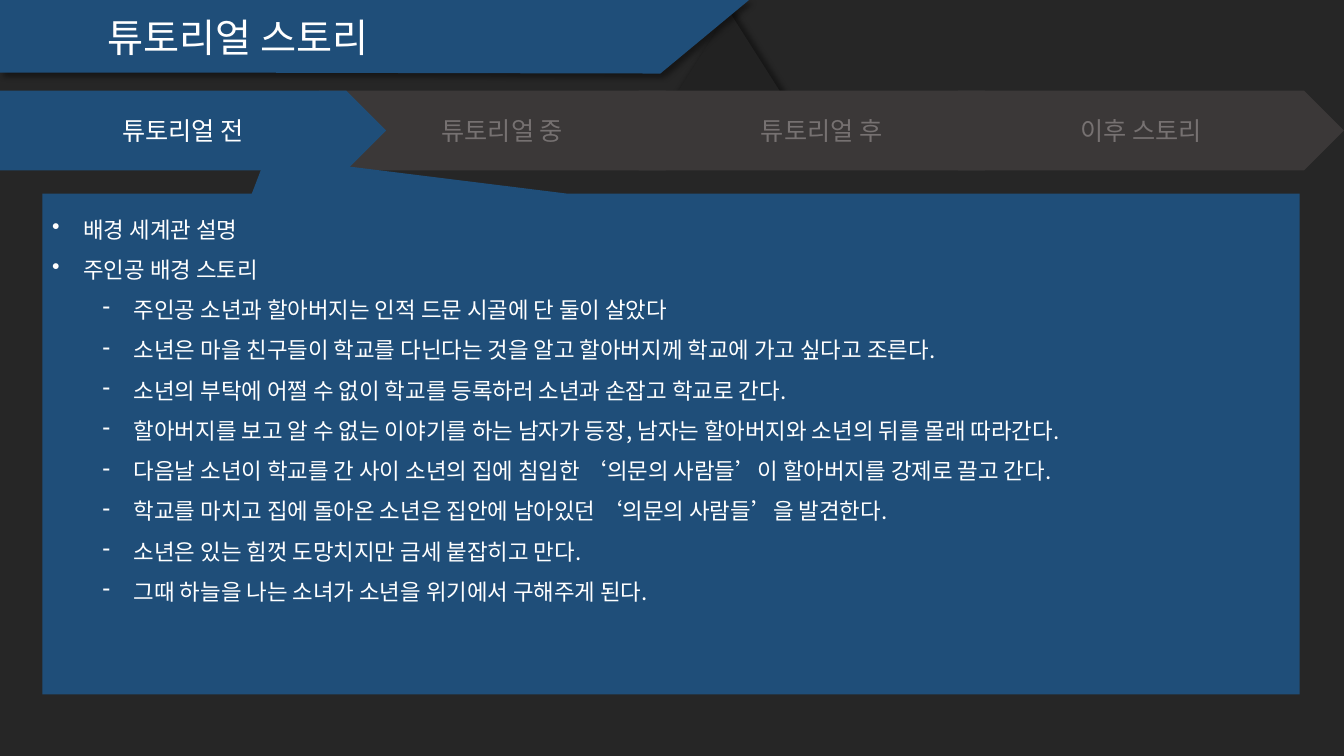
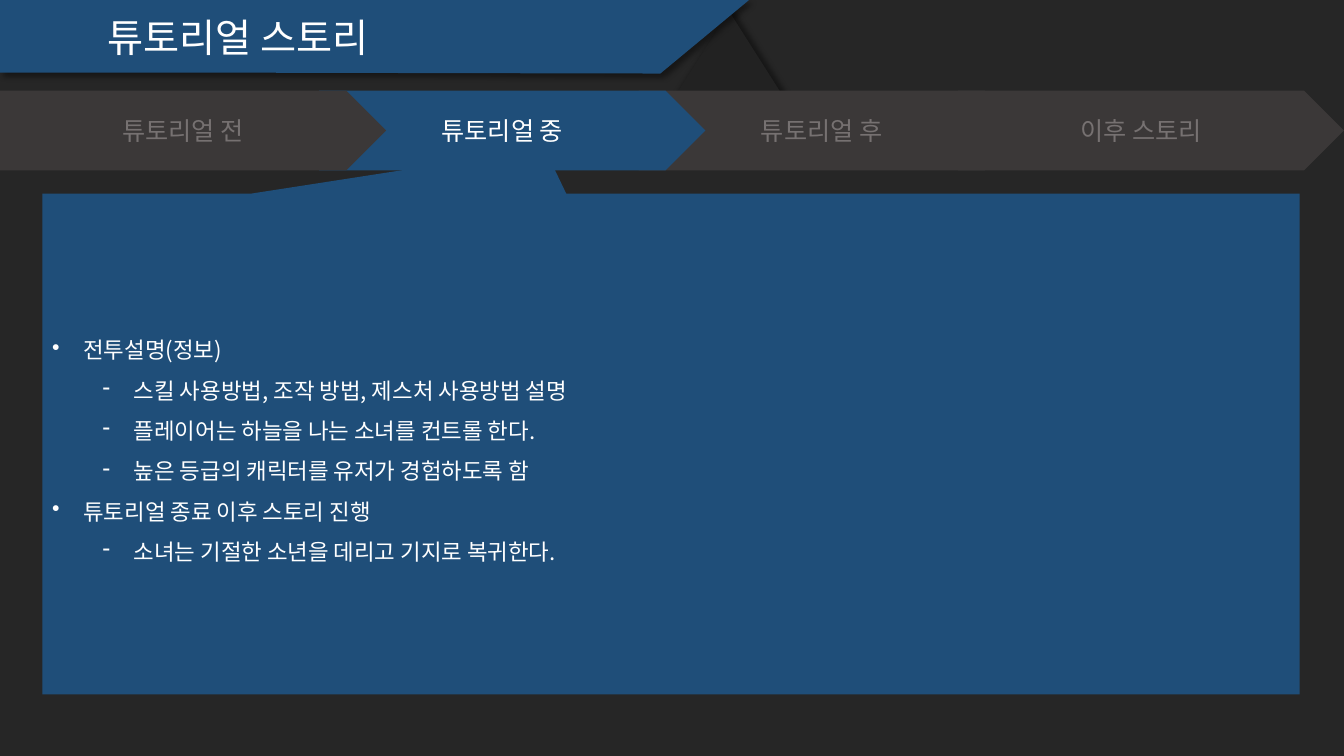
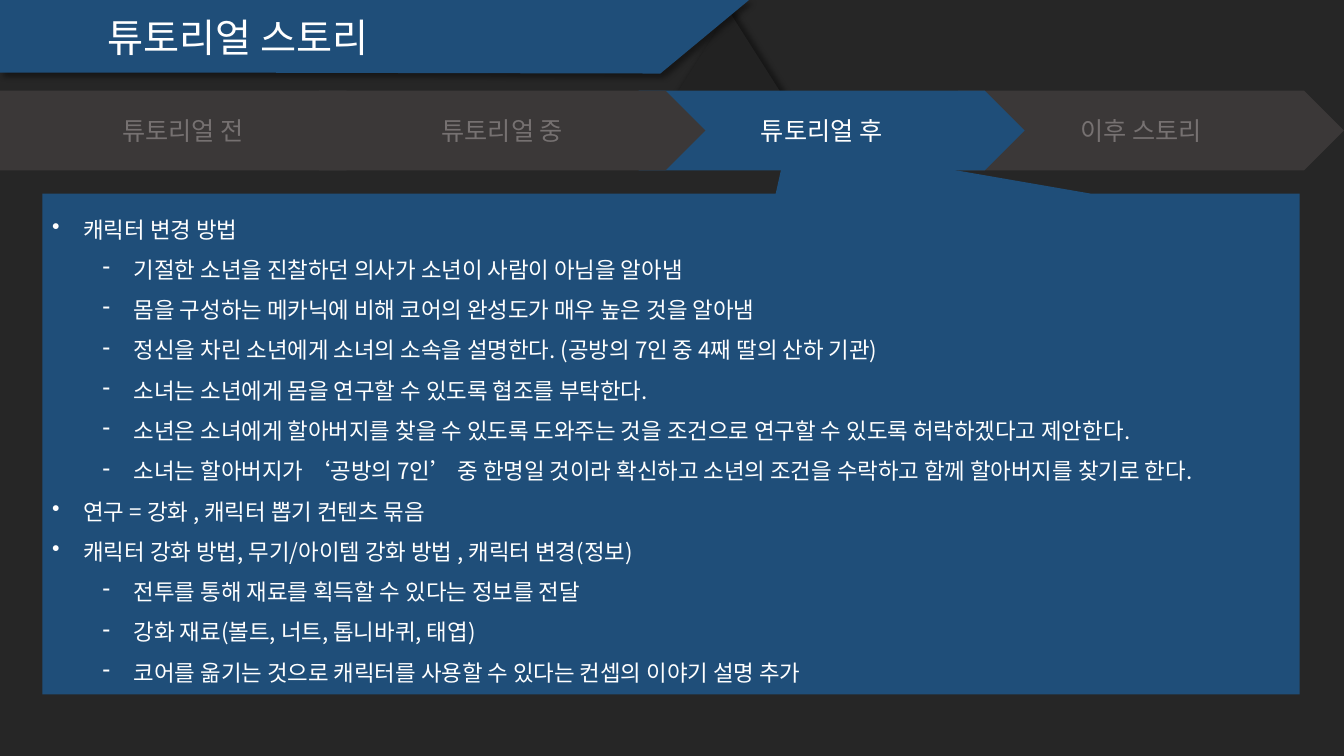
from lxml.etree import SubElement
from pptx import Presentation
from pptx.dml.color import RGBColor
from pptx.enum.shapes import MSO_SHAPE as Shape
from pptx.enum.text import MSO_ANCHOR as Anchor, MSO_AUTO_SIZE as AutoSize, PP_ALIGN as Align
from pptx.oxml.ns import qn
from pptx.util import Inches, Pt

COLORS = {
    "background": "262626",
    "facet": "222222",
    "accent": "1F4E79",
    "tab": "3B3838",
    "muted": "767171",
    "text": "FFFFFF",
    "shadow": "000000",
}
FONT = "Noto Sans CJK KR"
TITLE = "튜토리얼 스토리"
STAGES = ["튜토리얼 전", "튜토리얼 중", "튜토리얼 후", "이후 스토리"]

SLIDE_W, SLIDE_H = 13.33, 7.5
TAB_W, TAB_H, TAB_TOP = 3.83, 0.79, 0.9
TAB_STEP = (SLIDE_W - TAB_W) / (len(STAGES) - 1)
PANEL_X, PANEL_Y, PANEL_W, PANEL_H = 0.42, 1.92, 12.47, 4.97

LEVELS = [
    {"bullet": "•", "indent": 0.31},
    {"bullet": "-", "indent": 0.81},
]
HANGING = 0.31

STORIES = [
    {
        "tip": (2.64, 1.55),
        "margin_bottom": 0.85,
        "lines": [
            (0, "배경 세계관 설명"),
            (0, "주인공 배경 스토리"),
            (1, "주인공 소년과 할아버지는 인적 드문 시골에 단 둘이 살았다"),
            (1, "소년은 마을 친구들이 학교를 다닌다는 것을 알고 할아버지께 학교에 가고 싶다고 조른다."),
            (1, "소년의 부탁에 어쩔 수 없이 학교를 등록하러 소년과 손잡고 학교로 간다."),
            (1, "할아버지를 보고 알 수 없는 이야기를 하는 남자가 등장, 남자는 할아버지와 소년의 뒤를 몰래 따라간다."),
            (1, "다음날 소년이 학교를 간 사이 소년의 집에 침입한 ‘의문의 사람들’이 할아버지를 강제로 끌고 간다."),
            (1, "학교를 마치고 집에 돌아온 소년은 집안에 남아있던 ‘의문의 사람들’을 발견한다."),
            (1, "소년은 있는 힘껏 도망치지만 금세 붙잡히고 만다."),
            (1, "그때 하늘을 나는 소녀가 소년을 위기에서 구해주게 된다."),
        ],
    },
    {
        "tip": (5.4, 1.47),
        "margin_bottom": 0.05,
        "lines": [
            (0, "전투설명(정보)"),
            (1, "스킬 사용방법, 조작 방법, 제스처 사용방법 설명"),
            (1, "플레이어는 하늘을 나는 소녀를 컨트롤 한다."),
            (1, "높은 등급의 캐릭터를 유저가 경험하도록 함"),
            (0, "튜토리얼 종료 이후 스토리 진행"),
            (1, "소녀는 기절한 소년을 데리고 기지로 복귀한다."),
        ],
    },
    {
        "tip": (7.81, 1.4),
        "margin_bottom": 0.05,
        "lines": [
            (0, "캐릭터 변경 방법"),
            (1, "기절한 소년을 진찰하던 의사가 소년이 사람이 아님을 알아냄"),
            (1, "몸을 구성하는 메카닉에 비해 코어의 완성도가 매우 높은 것을 알아냄"),
            (1, "정신을 차린 소년에게 소녀의 소속을 설명한다. (공방의 7인 중 4째 딸의 산하 기관)"),
            (1, "소녀는 소년에게 몸을 연구할 수 있도록 협조를 부탁한다."),
            (1, "소년은 소녀에게 할아버지를 찾을 수 있도록 도와주는 것을 조건으로 연구할 수 있도록 허락하겠다고 제안한다."),
            (1, "소녀는 할아버지가 ‘공방의 7인’ 중 한명일 것이라 확신하고 소년의 조건을 수락하고 함께 할아버지를 찾기로 한다."),
            (0, "연구 = 강화 , 캐릭터 뽑기 컨텐츠 묶음"),
            (0, "캐릭터 강화 방법, 무기/아이템 강화 방법 , 캐릭터 변경(정보)"),
            (1, "전투를 통해 재료를 획득할 수 있다는 정보를 전달"),
            (1, "강화 재료(볼트, 너트, 톱니바퀴, 태엽)"),
            (1, "코어를 옮기는 것으로 캐릭터를 사용할 수 있다는 컨셉의 이야기 설명 추가"),
        ],
    },
]


def paint(shape, color, shadow_angle=None):
    shape.fill.solid()
    shape.fill.fore_color.rgb = RGBColor.from_string(COLORS[color])
    shape.line.fill.background()
    shape.shadow.inherit = False
    if shadow_angle is not None:
        effects = shape._element.spPr.find(qn("a:effectLst"))
        outer = SubElement(effects, qn("a:outerShdw"), blurRad=str(Pt(4)), dist=str(Pt(3)),
                           dir=str(shadow_angle * 60000), algn="ctr", rotWithShape="0")
        tint = SubElement(outer, qn("a:srgbClr"), val=COLORS["shadow"])
        SubElement(tint, qn("a:alpha"), val="40000")


def write(paragraph, text, size, color, **paragraph_format):
    for key, value in paragraph_format.items():
        setattr(paragraph, key, value)
    run = paragraph.add_run()
    run.text = text
    for key, value in {"name": FONT, "size": Pt(size)}.items():
        setattr(run.font, key, value)
    run.font.color.rgb = RGBColor.from_string(COLORS[color])
    SubElement(run._r.get_or_add_rPr(), qn("a:ea"), typeface=FONT)


prs = Presentation()
prs.slide_width, prs.slide_height = Inches(SLIDE_W), Inches(SLIDE_H)
backdrop = prs.slide_master.background.fill
backdrop.solid()
backdrop.fore_color.rgb = RGBColor.from_string(COLORS["background"])

for current, story in enumerate(STORIES):
    slide = prs.slides.add_slide(prs.slide_layouts[6])

    facet = slide.shapes.add_shape(Shape.ISOSCELES_TRIANGLE, Inches(6.57), Inches(0.11),
                                   Inches(1.32), Inches(1.04))
    paint(facet, "facet", 315)

    outline = slide.shapes.build_freeform(0, 0)
    corners = [(7.43, 0), (6.55, 0.73), (1.55, 0.72), (0, 0.72)]
    outline.add_line_segments([(Inches(x), Inches(y)) for x, y in corners], close=True)
    paint(outline.convert_to_shape(), "accent", 45)

    title = slide.shapes.add_textbox(Inches(0.97), Inches(0.08), Inches(3.09), Inches(0.57)).text_frame
    title.word_wrap = False
    title.auto_size = AutoSize.SHAPE_TO_FIT_TEXT
    write(title.paragraphs[0], TITLE, 28, "text")

    tabs = slide.shapes.add_group_shape()
    for stage, label in reversed(list(enumerate(STAGES))):
        active = stage == current
        tab = tabs.shapes.add_shape(Shape.PENTAGON, Inches(stage * TAB_STEP), Inches(TAB_TOP),
                                    Inches(TAB_W), Inches(TAB_H))
        paint(tab, "accent" if active else "tab")
        tab.text_frame.vertical_anchor = Anchor.MIDDLE
        write(tab.text_frame.paragraphs[0], label, 18, "text" if active else "muted",
              alignment=Align.CENTER)

    panel = slide.shapes.add_shape(Shape.RECTANGULAR_CALLOUT, Inches(PANEL_X), Inches(PANEL_Y),
                                   Inches(PANEL_W), Inches(PANEL_H))
    tip_x, tip_y = story["tip"]
    panel.adjustments[0] = (tip_x - PANEL_X) / PANEL_W - 0.5
    panel.adjustments[1] = (tip_y - PANEL_Y) / PANEL_H - 0.5
    paint(panel, "accent")
    body = panel.text_frame
    body.word_wrap = True
    body.vertical_anchor = Anchor.MIDDLE
    body.margin_bottom = Inches(story["margin_bottom"])

    for row, (level, text) in enumerate(story["lines"]):
        paragraph = body.add_paragraph() if row else body.paragraphs[0]
        properties = paragraph._p.get_or_add_pPr()
        properties.set("marL", str(Inches(LEVELS[level]["indent"])))
        properties.set("indent", str(Inches(-HANGING)))
        SubElement(properties, qn("a:buChar"), char=LEVELS[level]["bullet"])
        write(paragraph, text, 16, "text", level=level, line_spacing=1.5, alignment=Align.LEFT)

prs.save("out.pptx")
